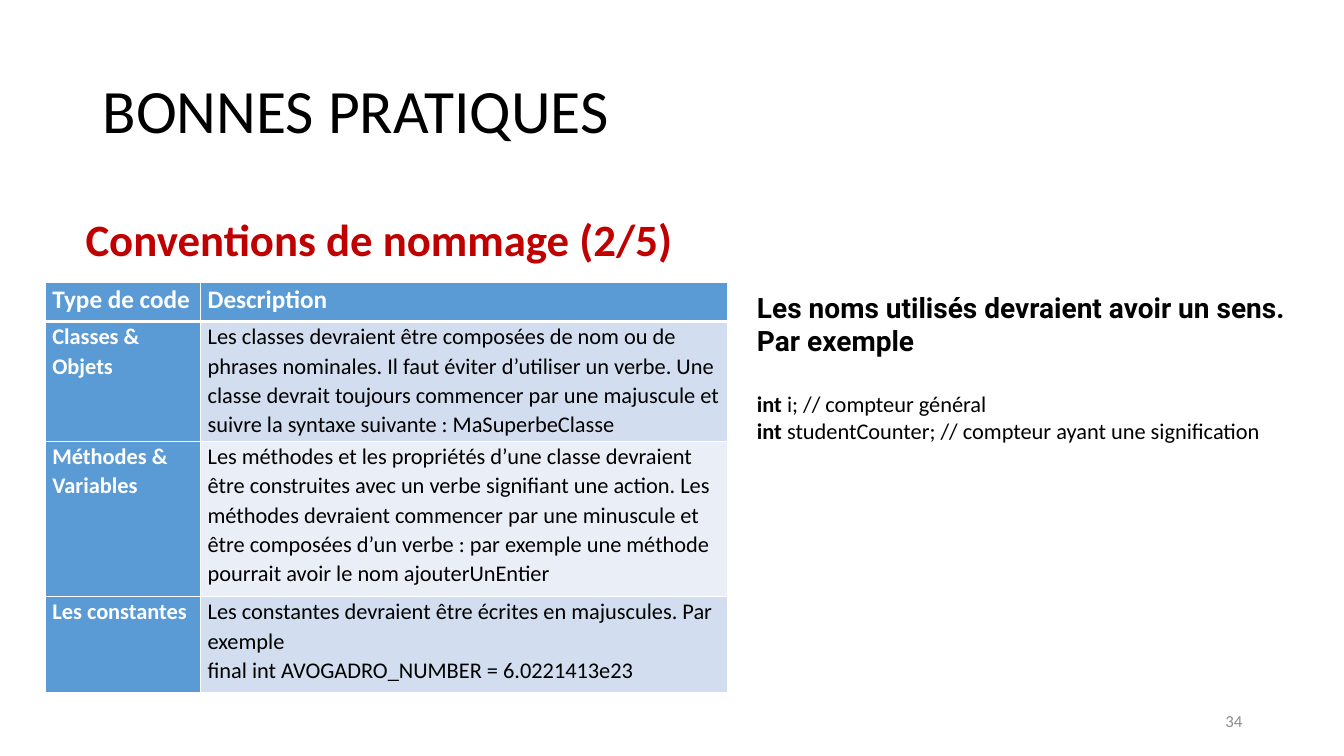
from lxml import etree
from pptx import Presentation, util as u
from pptx.dml.color import RGBColor
from pptx.enum import text as t
from pptx.oxml.ns import qn

HUES = {"black": "000000", "white": "FFFFFF", "red": "C00000", "grey": "8C8C8C",
        "blue": "5B9BD5", "dark": "D2DEEF", "light": "EAEFF7"}
COLS = [1.54, 5.23]
ROWS = [
    (0.39, "blue", "Type de code", ["Description"]),
    (1.19, "dark", "Classes & Objets", [
        "Les classes devraient être composées de nom ou de phrases nominales. "
        "Il faut éviter d’utiliser un verbe. Une classe devrait toujours commencer "
        "par une majuscule et suivre la syntaxe suivante : MaSuperbeClasse"]),
    (1.54, "light", "Méthodes & Variables", [
        "Les méthodes et les propriétés d’une classe devraient être construites "
        "avec un verbe signifiant une action. Les méthodes devraient commencer par "
        "une minuscule et être composées d’un verbe : par exemple une méthode "
        "pourrait avoir le nom ajouterUnEntier"]),
    (0.95, "dark", "Les constantes", [
        "Les constantes devraient être écrites en majuscules. Par exemple",
        "final int AVOGADRO_NUMBER = 6.0221413e23"]),
]


def rgb(hue):
    """Return the colour of a named hue."""
    return RGBColor.from_string(HUES[hue])


def add_run(para, words, size, hue="black", bold=False, face="Calibri"):
    """Add one formatted run to a paragraph."""
    run = para.add_run()
    run.text = words
    for key, val in {"name": face, "size": u.Pt(size), "bold": bold}.items():
        setattr(run.font, key, val)
    run.font.color.rgb = rgb(hue)


def add_para(frame, first, **form):
    """Return the first or a new paragraph with the given format."""
    para = frame.paragraphs[0] if first else frame.add_paragraph()
    for key, val in form.items():
        setattr(para, key, val)
    return para


def add_box(slide, area, anchor=t.MSO_ANCHOR.TOP):
    """Add a wrapping text box and return its frame."""
    frame = slide.shapes.add_textbox(*map(u.Inches, area)).text_frame
    for key, val in {"word_wrap": True, "vertical_anchor": anchor}.items():
        setattr(frame, key, val)
    return frame


def add_line(slide, area, words, size, hue, bold=False,
             anchor=t.MSO_ANCHOR.MIDDLE, **form):
    """Add a text box holding one line."""
    para = add_para(add_box(slide, area, anchor), True, **form)
    add_run(para, words, size, hue, bold)


def add_edges(cell, row):
    """Draw white borders, thick under the header."""
    props = cell._tc.get_or_add_tcPr()
    thick = {"L": 1, "R": 1, "T": 3 if row == 1 else 1, "B": 3 if row == 0 else 1}
    for side, width in thick.items():
        edge = etree.SubElement(props, qn(f"a:ln{side}"), w=str(u.Pt(width)))
        fill = etree.SubElement(edge, qn("a:solidFill"))
        etree.SubElement(fill, qn("a:srgbClr"), val=HUES["white"])


def fill_cell(cell, row, lines, back, size, hue, bold):
    """Write, colour and border one cell."""
    pad = u.Inches(0.07)
    for key, val in {"margin_left": pad, "margin_right": pad,
                     "margin_top": 0, "margin_bottom": 0}.items():
        setattr(cell, key, val)
    add_edges(cell, row)
    cell.fill.solid()
    cell.fill.fore_color.rgb = rgb(back)
    for i, words in enumerate(lines):
        para = add_para(cell.text_frame, i == 0, line_spacing=1.07)
        add_run(para, words, size, hue, bold)


def add_rules(slide):
    """Add the table of naming rules."""
    area = (0.45, 2.8, sum(COLS), sum(row[0] for row in ROWS))
    grid = slide.shapes.add_table(len(ROWS), len(COLS), *map(u.Inches, area)).table
    for col, width in zip(grid.columns, COLS):
        col.width = u.Inches(width)
    for i, (height, back, kind, lines) in enumerate(ROWS):
        grid.rows[i].height = u.Inches(height)
        head = i == 0
        size = 18 if head else 16
        fill_cell(grid.cell(i, 0), i, [kind], "blue", size, "white", True)
        fill_cell(grid.cell(i, 1), i, lines, back, size,
                  "white" if head else "black", head)


def add_sample(slide):
    """Add the advice and its code sample."""
    frame = add_box(slide, (7.41, 2.83, 5.76, 1.83))
    for i, words in enumerate(["Les noms utilisés devraient avoir un sens.",
                               "Par exemple"]):
        add_run(add_para(frame, i == 0), words, 20, bold=True, face="Roboto")
    notes = ["i; // compteur général",
             "studentCounter; // compteur ayant une signification"]
    for i, words in enumerate(notes):
        para = add_para(frame, False, space_before=u.Pt(0 if i else 23.4))
        add_run(para, "int ", 16, bold=True)
        add_run(para, words, 16)


def main():
    """Build and save the slide."""
    deck = Presentation()
    deck.slide_width, deck.slide_height = u.Inches(13.33), u.Inches(7.5)
    slide = deck.slides.add_slide(deck.slide_layouts[6])
    add_line(slide, (0.92, 0.4, 11.5, 1.45), "BONNES PRATIQUES", 44, "black",
             line_spacing=0.9)
    add_line(slide, (0.75, 2.11, 6.24, 1.04), "Conventions de nommage (2/5)", 32,
             "red", True, t.MSO_ANCHOR.TOP, line_spacing=0.9, space_before=u.Pt(10))
    add_line(slide, (9.42, 6.95, 3, 0.4), "34", 12, "grey",
             alignment=t.PP_ALIGN.RIGHT)
    add_rules(slide)
    add_sample(slide)
    deck.save("out.pptx")


if __name__ == "__main__":
    main()
